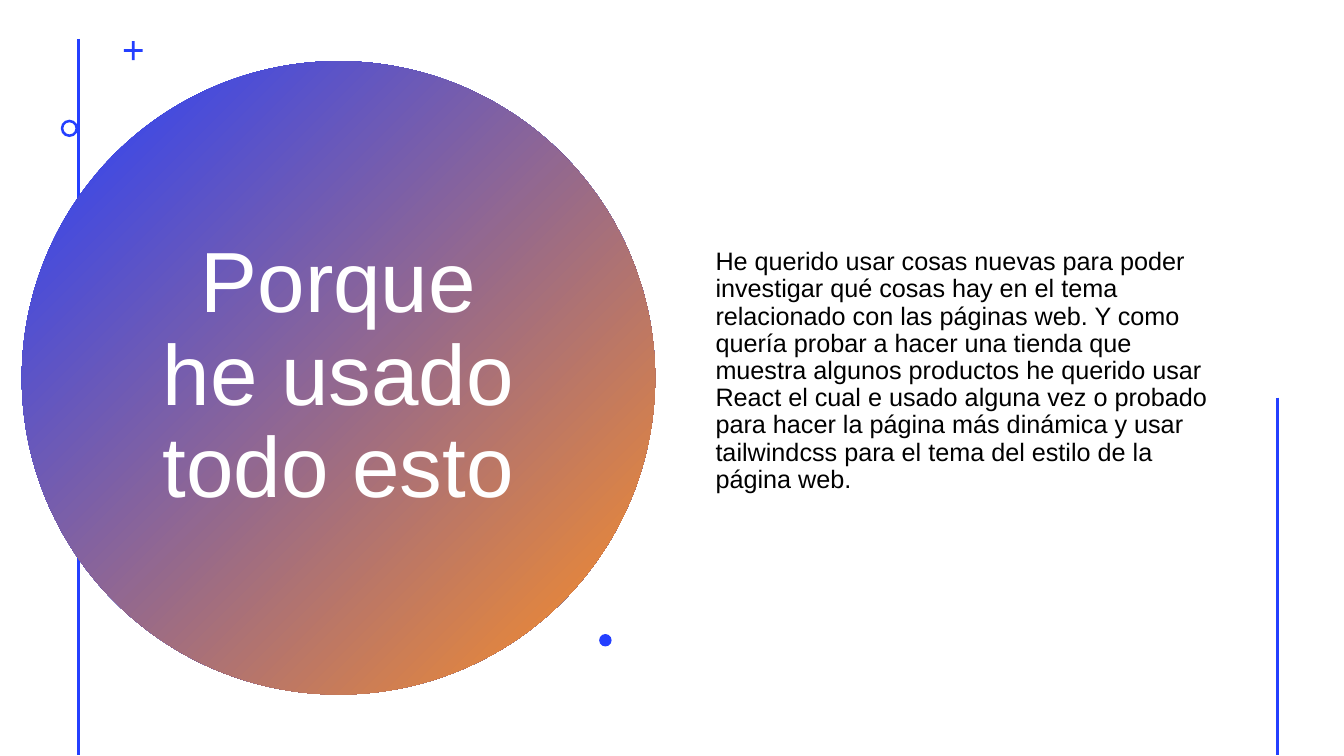
from dataclasses import dataclass

from lxml.etree import SubElement
from pptx import Presentation
from pptx.dml.color import RGBColor
from pptx.enum.shapes import MSO_CONNECTOR, MSO_SHAPE
from pptx.enum.text import MSO_ANCHOR, MSO_AUTO_SIZE, PP_ALIGN
from pptx.oxml.ns import qn
from pptx.shapes.autoshape import Shape
from pptx.slide import Slide
from pptx.util import Pt

BLUE, ORANGE, WHITE, BLACK = "243FFF", "FF9022", "FFFFFF", "000000"
TITLE = "Porque he usado todo esto"
REASON = (
    "He querido usar cosas nuevas para poder investigar qué cosas hay en el tema "
    "relacionado con las páginas web. Y como quería probar a hacer una tienda que "
    "muestra algunos productos he querido usar React el cual e usado alguna vez o "
    "probado para hacer la página más dinámica y usar tailwindcss para el tema del "
    "estilo de la página web."
)


@dataclass(frozen=True)
class Ornament:
    kind: MSO_SHAPE
    left: float
    top: float
    size: float
    adjustment: float | None = None


@dataclass(frozen=True)
class Rule:
    x: float
    top: float
    bottom: float = 539.5


DISC = Ornament(MSO_SHAPE.OVAL, 15.6, 43.7, 452.4)
ACCENTS = (
    Ornament(MSO_SHAPE.CROSS, 88.5, 29.4, 13.5, 0.43),
    Ornament(MSO_SHAPE.DONUT, 43.4, 85.5, 12.4, 0.15),
    Ornament(MSO_SHAPE.OVAL, 428, 452.9, 8.9),
)
LEFT_RULE = Rule(56, 27.7)
RIGHT_RULE = Rule(912.4, 284)


def rgb(code: str) -> RGBColor:
    return RGBColor.from_string(code)


def draw_rule(slide: Slide, rule: Rule) -> None:
    line = slide.shapes.add_connector(
        MSO_CONNECTOR.STRAIGHT, Pt(rule.x), Pt(rule.top), Pt(rule.x), Pt(rule.bottom)
    )
    line.line.color.rgb = rgb(BLUE)
    line.line.width = Pt(2)
    SubElement(line.element.spPr, qn("a:effectLst"))


def draw_ornament(slide: Slide, item: Ornament) -> Shape:
    shape = slide.shapes.add_shape(
        item.kind, Pt(item.left), Pt(item.top), Pt(item.size), Pt(item.size)
    )
    if item.adjustment is not None:
        shape.adjustments[0] = item.adjustment
    shape.shadow.inherit = False
    shape.fill.solid()
    shape.fill.fore_color.rgb = rgb(BLUE)
    shape.line.fill.background()
    return shape


def shade_disc(disc: Shape) -> None:
    disc.fill.gradient()
    disc.fill.gradient_angle = 315
    for stop, color in zip(disc.fill.gradient_stops, (BLUE, ORANGE)):
        stop.color.rgb = rgb(color)


def write_text(holder: Shape, text: str, size: float, color: str, align: PP_ALIGN) -> None:
    frame = holder.text_frame
    frame.text = text
    frame.word_wrap = True
    frame.auto_size = MSO_AUTO_SIZE.NONE
    frame.vertical_anchor = MSO_ANCHOR.MIDDLE
    paragraph = frame.paragraphs[0]
    paragraph.alignment = align
    paragraph.line_spacing = 0.9
    paragraph.font.name = "Arial"
    paragraph.font.size = Pt(size)
    paragraph.font.color.rgb = rgb(color)


def main() -> None:
    deck = Presentation()
    deck.slide_width, deck.slide_height = Pt(960), Pt(540)
    slide = deck.slides.add_slide(deck.slide_layouts[5])

    draw_rule(slide, LEFT_RULE)
    disc = draw_ornament(slide, DISC)
    shade_disc(disc)

    title = slide.shapes.title
    title.left, title.top, title.width, title.height = Pt(98), Pt(101.5), Pt(287.3), Pt(336.2)
    write_text(title, TITLE, 61, WHITE, PP_ALIGN.CENTER)
    disc.element.addnext(title.element)

    for accent in ACCENTS:
        draw_ornament(slide, accent)

    reason = slide.shapes.add_textbox(Pt(504), Pt(30.2), Pt(368.6), Pt(470.2))
    write_text(reason, REASON, 18, BLACK, PP_ALIGN.LEFT)
    reason.text_frame.paragraphs[0].space_before = Pt(10)

    draw_rule(slide, RIGHT_RULE)
    deck.save("out.pptx")


if __name__ == "__main__":
    main()
